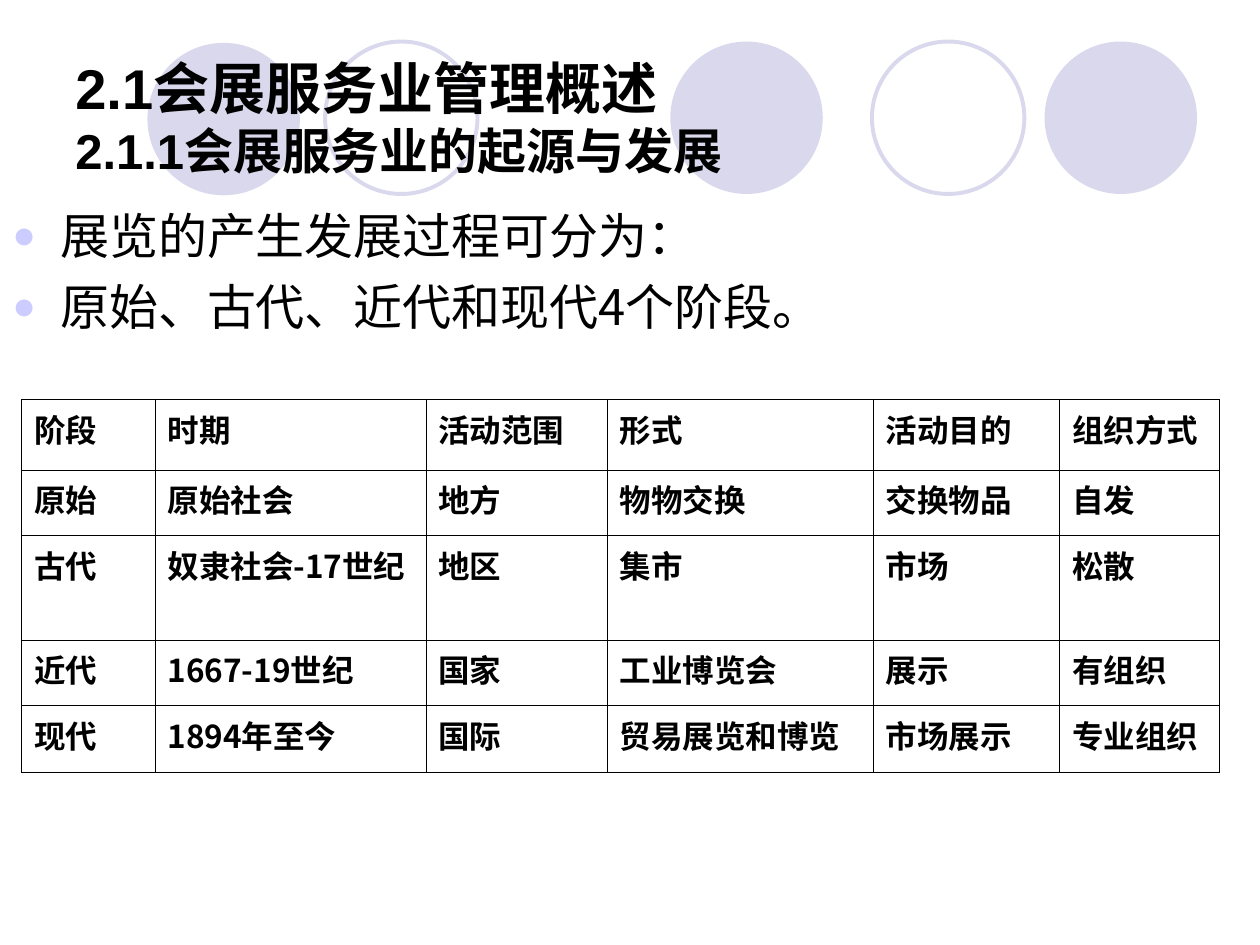
from typing import NamedTuple

from lxml import etree
from pptx import Presentation
from pptx.dml.color import RGBColor
from pptx.enum.shapes import MSO_SHAPE
from pptx.enum.text import MSO_ANCHOR
from pptx.oxml.ns import qn
from pptx.util import Inches, Pt

OVAL = MSO_SHAPE.OVAL
MIDDLE = MSO_ANCHOR.MIDDLE
TOP = MSO_ANCHOR.TOP
LATIN, HAN = "Arial", "Noto Sans CJK SC"
BLACK, PALE, DOT = "000000", "D9D8EC", "CCCCFF"
SIZE = 1.21
INDENT = 0.38


class Ring(NamedTuple):
    left: float
    top: float
    solid: bool


class Line(NamedTuple):
    text: str
    size: float


RINGS = [
    Ring(5.32, 0.33, True),
    Ring(8.29, 0.33, True),
    Ring(1.17, 0.34, True),
    Ring(6.92, 0.33, False),
    Ring(2.58, 0.33, False),
]
TITLE = [Line("2.1会展服务业管理概述", 32), Line("2.1.1会展服务业的起源与发展", 28)]
POINTS = ["展览的产生发展过程可分为：", "原始、古代、近代和现代4个阶段。"]
WIDTHS = [1.06, 2.15, 1.44, 2.11, 1.48, 1.27]
HEIGHTS = [0.56, 0.52, 0.83, 0.52, 0.53]
STAGES = [
    ["阶段", "时期", "活动范围", "形式", "活动目的", "组织方式"],
    ["原始", "原始社会", "地方", "物物交换", "交换物品", "自发"],
    ["古代", "奴隶社会-17世纪", "地区", "集市", "市场", "松散"],
    ["近代", "1667-19世纪", "国家", "工业博览会", "展示", "有组织"],
    ["现代", "1894年至今", "国际", "贸易展览和博览", "市场展示", "专业组织"],
]


def color(value: str) -> RGBColor:
    return RGBColor.from_string(value)


def add_tag(parent, tag: str, **attrs: str):
    return etree.SubElement(parent, qn(tag), attrs)


def add_text(para, lines: list[Line], font: str = HAN, bold: bool = False,
             hang: float = 0, bullet: bool = False, before: float = 0) -> None:
    """Fill a paragraph with lines parted by line breaks."""
    props = para._p.get_or_add_pPr()
    if hang:
        props.set("marL", str(Inches(hang)))
        props.set("indent", str(-Inches(hang)))
    if bullet:
        add_tag(add_tag(props, "a:buClr"), "a:srgbClr", val=DOT)
        add_tag(props, "a:buSzPct", val="80000")
        add_tag(props, "a:buFont", typeface=LATIN)
        add_tag(props, "a:buChar", char="●")
    if before:
        para.space_before = Pt(before)
    for i, line in enumerate(lines):
        if i:
            para.add_line_break()
        run = para.add_run()
        run.text = line.text
        run.font.size = Pt(line.size)
        run.font.bold = bold
        run.font.name = font
        run.font.color.rgb = color(BLACK)
        add_tag(run._r.get_or_add_rPr(), "a:ea", typeface=HAN)


def add_box(slide, left: float, top: float, width: float, height: float,
            anchor=TOP):
    box = slide.shapes.add_textbox(
        Inches(left), Inches(top), Inches(width), Inches(height))
    frame = box.text_frame
    frame.word_wrap = True
    frame.vertical_anchor = anchor
    return frame


def draw_ring(slide, ring: Ring) -> None:
    shape = slide.shapes.add_shape(
        OVAL, Inches(ring.left), Inches(ring.top), Inches(SIZE), Inches(SIZE))
    shape.shadow.inherit = False
    if ring.solid:
        shape.fill.solid()
        shape.fill.fore_color.rgb = color(PALE)
        shape.line.fill.background()
    else:
        shape.fill.background()
        shape.line.color.rgb = color(PALE)
        shape.line.width = Pt(2.25)


def style_cell(cell) -> None:
    """Give a cell thin black borders and no fill."""
    props = cell._tc.get_or_add_tcPr()
    for side in ("a:lnL", "a:lnR", "a:lnT", "a:lnB"):
        edge = add_tag(props, side, w=str(Pt(0.45)))
        add_tag(add_tag(edge, "a:solidFill"), "a:srgbClr", val=BLACK)
    cell.fill.background()


def draw_table(slide) -> None:
    grid = slide.shapes.add_table(
        len(HEIGHTS), len(WIDTHS), Inches(0.17), Inches(3.17),
        Inches(sum(WIDTHS)), Inches(sum(HEIGHTS))).table
    grid.first_row = grid.horz_banding = False
    for col, width in zip(grid.columns, WIDTHS):
        col.width = Inches(width)
    for row, height, words in zip(grid.rows, HEIGHTS, STAGES):
        row.height = Inches(height)
        for cell, word in zip(row.cells, words):
            style_cell(cell)
            add_text(cell.text_frame.paragraphs[0], [Line(word, 18)],
                     bold=True, hang=INDENT)


def main() -> None:
    deck = Presentation()
    deck.slide_width, deck.slide_height = Inches(10), Inches(7.5)
    slide = deck.slides.add_slide(deck.slide_layouts[6])

    # Circles behind the title
    for ring in RINGS:
        draw_ring(slide, ring)

    # Title
    head = add_box(slide, 0.5, 0.3, 9, 1.25, anchor=MIDDLE)
    add_text(head.paragraphs[0], TITLE, font=LATIN, bold=True)

    # Bullet points
    body = add_box(slide, 0, 1.58, 10, 5.92)
    for i, point in enumerate(POINTS):
        para = body.add_paragraph() if i else body.paragraphs[0]
        add_text(para, [Line(point, 28)], hang=INDENT, bullet=True,
                 before=7 if i else 0)

    # Table of stages
    draw_table(slide)
    deck.save("out.pptx")


if __name__ == "__main__":
    main()
